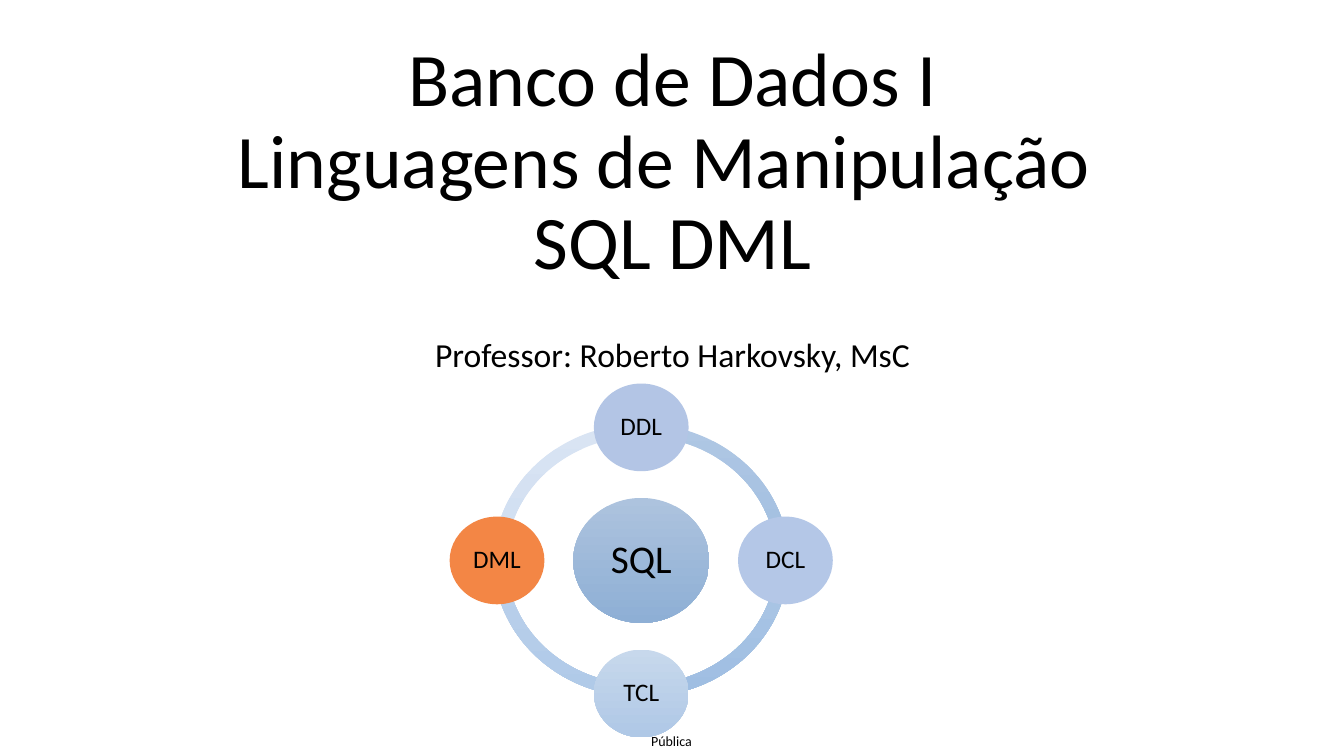
import pptx
import pptx.util
import pptx.dml.color
import pptx.enum.shapes
import pptx.enum.text

Inches = pptx.util.Inches
Pt = pptx.util.Pt
MSO_SHAPE = pptx.enum.shapes.MSO_SHAPE
ANCHOR = pptx.enum.text.MSO_ANCHOR


def paint(fill, *colors):
    rgbs = [pptx.dml.color.RGBColor.from_string(c) for c in colors]
    if len(rgbs) == 1:
        fill.solid()
        fill.fore_color.rgb = rgbs[0]
    else:
        fill.gradient()
        fill.gradient_angle = 270
        for stop, rgb in zip(fill.gradient_stops, rgbs):
            stop.color.rgb = rgb


def write(sp, text, size, anchor, spacing=0.9):
    tf = sp.text_frame
    tf.word_wrap = True
    tf.auto_size = pptx.enum.text.MSO_AUTO_SIZE.NONE
    tf.vertical_anchor = anchor
    p = tf.paragraphs[0]
    p.text = text
    p.alignment = pptx.enum.text.PP_ALIGN.CENTER
    p.line_spacing = spacing
    for r in p.runs:
        r.font.size = Pt(size)
        r.font.name = "Calibri"
        paint(r.font.fill, "000000")


prs = pptx.Presentation()
prs.slide_width = Inches(13.33)
prs.slide_height = Inches(7.5)
s = prs.slides.add_slide(prs.slide_layouts[0])

title, subtitle = s.placeholders
title.left, title.top, title.width, title.height = map(Inches, (0.98, 0.28, 11.38, 2.61))
write(title, "Banco de Dados I\vLinguagens de Manipulação \vSQL DML", 54, ANCHOR.BOTTOM)
subtitle.left, subtitle.top, subtitle.width, subtitle.height = map(Inches, (1.67, 3.31, 10, 1.81))
write(subtitle, "Professor: Roberto Harkovsky, MsC", 24, ANCHOR.TOP)
subtitle.text_frame.paragraphs[0].space_before = Pt(10)

cx, cy = 6.36, 5.56
ring_w, ring_h = 2.93, 2.71
arcs = [
    (108, 162, "D9E4F3", "C3D6EE"),
    (54, 108, "C9D9EE", "B0CAE8"),
    (0, 54, "BBD0E9", "9FBEE2"),
    (162, 0, "AFC7E4", "90B4DC"),
]
for start, end, *colors in arcs:
    sp = s.shapes.add_shape(MSO_SHAPE.BLOCK_ARC, Inches(cx - ring_w / 2), Inches(cy - ring_h / 2),
                            Inches(ring_w), Inches(ring_h))
    for i, value in enumerate((start, end, 0.046)):
        sp.adjustments[i] = value
    sp.shadow.inherit = False
    sp.line.fill.background()
    paint(sp.fill, *colors)

dx, dy = 1.43, 1.32
node = (0.94, 0.87, 18)
circles = [
    ("SQL", 0, 0, (1.35, 1.24, 28), ("ADC3DE", "8EAFD5")),
    ("DDL", 0, -dy, node, ("B3C5E5",)),
    ("DCL", dx, 0, node, ("B4C7E7",)),
    ("TCL", 0, dy, node, ("C7D8EC", "AFC8E6")),
    ("DML", -dx, 0, node, ("F38645",)),
]
for text, x, y, (w, h, size), colors in circles:
    sp = s.shapes.add_shape(MSO_SHAPE.OVAL, Inches(cx + x - w / 2), Inches(cy + y - h / 2),
                            Inches(w), Inches(h))
    sp.shadow.inherit = False
    sp.line.fill.background()
    paint(sp.fill, *colors)
    tf = sp.text_frame
    tf.margin_left = tf.margin_right = tf.margin_top = tf.margin_bottom = 0
    write(sp, text, size, ANCHOR.MIDDLE)

label = s.shapes.add_textbox(Inches(6.31), Inches(7.21), Inches(0.7), Inches(0.29))
tf = label.text_frame
tf.margin_left = tf.margin_right = tf.margin_top = tf.margin_bottom = 0
write(label, "Pública", 10, ANCHOR.MIDDLE, 1.0)

prs.save("out.pptx")
